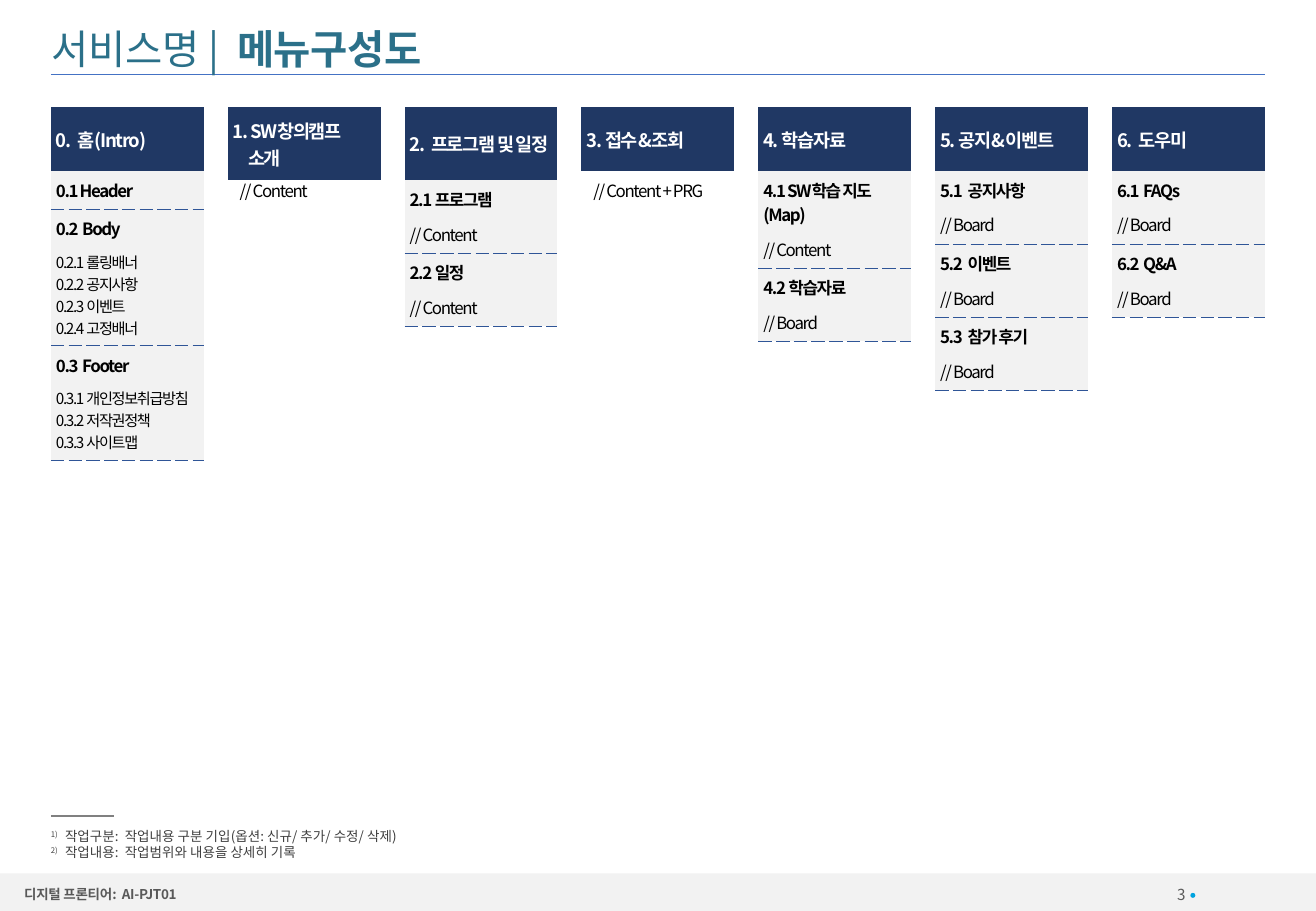
"""Build the menu structure slide of a service plan."""
from dataclasses import dataclass
from typing import NamedTuple

from lxml.etree import SubElement
from pptx import Presentation
from pptx.dml.color import RGBColor as Rgb
from pptx.enum.shapes import MSO_CONNECTOR as Connector, MSO_SHAPE as Shape
from pptx.enum.text import MSO_ANCHOR as Anchor, PP_ALIGN as Align
from pptx.oxml import parse_xml
from pptx.oxml.ns import nsdecls, qn
from pptx.util import Pt


@dataclass(frozen=True)
class Theme:
    """Colours, font and type sizes of the slide."""
    font: str = "Noto Sans CJK KR"
    title: str = "2B7089"
    rule: str = "4472C4"
    head: str = "203864"
    head_text: str = "FFFFFF"
    panel: str = "F2F2F2"
    dash: str = "2F5597"
    ink: str = "000000"
    note: str = "404040"
    note_rule: str = "808080"
    footer: str = "595959"
    dot: str = "00A3DF"
    title_size: float = 24
    head_size: float = 11
    topic_size: float = 10
    detail_size: float = 9
    small_size: float = 8


class Box(NamedTuple):
    """Left, top, width and height in points."""
    left: float
    top: float
    width: float
    height: float

    def lengths(self):
        """Return the four sides as lengths."""
        return [Pt(side) for side in self]


THEME = Theme()
TIGHT = -0.8
HEAD_HEIGHT, TALL_HEAD_HEIGHT = 37.8, 43.3
TOPIC_HEIGHT, TOPIC_LINE, REMARK_HEIGHT, DETAIL_HEIGHT = 22.8, 14.4, 20.6, 13
COLUMN_GAP = 14.2
LINE_LENGTH = 12

MENU = [
    ("0.  홈(Intro)", [
        ("0.1 Header", []),
        ("0.2  Body", ["0.2.1 롤링배너", "0.2.2 공지사항", "0.2.3 이벤트", "0.2.4 고정배너"]),
        ("0.3  Footer", ["0.3.1 개인정보취급방침", "0.3.2 저작권정책", "0.3.3 사이트맵"]),
    ]),
    ("1. SW창의캠프\v소개", "// Content"),
    ("2.  프로그램 및 일정", [
        ("2.1 프로그램", "// Content"), ("2.2 일정", "// Content")]),
    ("3. 접수&조회", "// Content + PRG"),
    ("4. 학습자료", [
        ("4.1 SW학습 지도(Map)", "// Content"), ("4.2 학습자료", "// Board")]),
    ("5. 공지&이벤트", [
        ("5.1  공지사항", "// Board"), ("5.2  이벤트", "// Board"),
        ("5.3  참가 후기", "// Board")]),
    ("6.  도우미", [("6.1  FAQs", "// Board"), ("6.2  Q&A", "// Board")]),
]
NOTES = [
    ("1)", "작업구분:  작업내용 구분 기입(옵션: 신규/ 추가/ 수정/ 삭제)"),
    ("2)", "작업내용:  작업범위와 내용을 상세히 기록"),
]


def style(para, size, color, bold=None, spacing=0, before=0, after=0):
    """Set the type and the gaps of one paragraph."""
    para.space_before, para.space_after = Pt(before), Pt(after)
    font = para.font
    font.name, font.size, font.bold = THEME.font, Pt(size), bold
    font.color.rgb = Rgb.from_string(color)
    defaults = para._p.get_or_add_pPr().get_or_add_defRPr()
    defaults.set("spc", str(round(spacing * 100)))
    SubElement(defaults, qn("a:ea")).set("typeface", THEME.font)


def hang(para, indent):
    """Indent every line but the first."""
    layout = para._p.get_or_add_pPr()
    layout.set("marL", str(Pt(indent)))
    layout.set("indent", str(-Pt(indent)))


def add_text(page, box, margins=(0, 0), anchor=Anchor.TOP, wrap=True):
    """Add a text box and return its frame."""
    frame = page.shapes.add_textbox(*box.lengths()).text_frame
    frame.word_wrap, frame.vertical_anchor = wrap, anchor
    frame.margin_left = frame.margin_right = Pt(margins[0])
    frame.margin_top = frame.margin_bottom = Pt(margins[1])
    return frame


def add_rule(page, left, top, width, color, weight):
    """Draw a horizontal line."""
    line = page.shapes.add_connector(
        Connector.STRAIGHT, Pt(left), Pt(top), Pt(left + width), Pt(top))
    line.line.color.rgb, line.line.width = Rgb.from_string(color), Pt(weight)
    SubElement(line._element.spPr, qn("a:effectLst"))


def add_solid(page, kind, box, color):
    """Draw a plain filled shape."""
    shape = page.shapes.add_shape(kind, *box.lengths())
    shape.shadow.inherit = False
    shape.fill.solid()
    shape.fill.fore_color.rgb = Rgb.from_string(color)
    shape.line.fill.background()


def fill_cell(cell, color, margin, dashed):
    """Set the fill, margins and lower border of a cell."""
    cell.fill.solid()
    cell.fill.fore_color.rgb = Rgb.from_string(color)
    cell.margin_left = cell.margin_right = Pt(3)
    cell.margin_top = cell.margin_bottom = Pt(margin)
    if dashed:
        cell._tc.tcPr.insert(0, parse_xml(
            f'<a:lnB {nsdecls("a")} w="{Pt(0.25)}"><a:solidFill><a:srgbClr val="{THEME.dash}"/>'
            '</a:solidFill><a:prstDash val="dash"/></a:lnB>'))


def is_tall(text):
    """Tell whether a text takes two lines in its column."""
    return "\v" in text or len(text) > LINE_LENGTH


def topic_height(topic, details):
    """Return the height of a topic with its remark or its list."""
    height = TOPIC_HEIGHT + (TOPIC_LINE if is_tall(topic) else 0)
    if isinstance(details, str):
        return height + REMARK_HEIGHT
    return height + (6 + DETAIL_HEIGHT * len(details) if details else 0)


def draw_topic(cell, topic, details):
    """Write a topic and what lies below it."""
    fill_cell(cell, THEME.panel, 4.3, True)
    frame = cell.text_frame
    frame.text = topic
    style(frame.paragraphs[0], THEME.topic_size, THEME.ink, True, TIGHT, 3, 3)
    remark = isinstance(details, str)
    for index, text in enumerate([details] if remark else details):
        para = frame.add_paragraph()
        para.text = text
        if remark:
            style(para, THEME.topic_size, THEME.ink, False, TIGHT, 3, 3)
        else:
            style(para, THEME.detail_size, THEME.ink, False, TIGHT, 0 if index else 3)


def draw_column(page, box, heading, content):
    """Draw one menu with its topics, or with a remark beneath."""
    topics = [] if isinstance(content, str) else content
    heights = [TALL_HEAD_HEIGHT if is_tall(heading) else HEAD_HEIGHT]
    heights += [topic_height(*topic) for topic in topics]
    frame = page.shapes.add_table(
        len(heights), 1, *box._replace(height=sum(heights)).lengths())
    table = frame.table
    table.first_row = table.horz_banding = False
    table._tbl.tblPr.find(qn("a:tableStyleId")).text = "{2D5ABB26-0587-4C30-8999-92F81FD0307C}"
    for row, height in zip(table.rows, heights):
        row.height = Pt(height)
    head = table.cell(0, 0)
    fill_cell(head, THEME.head, 5.8, False)
    head.vertical_anchor = Anchor.MIDDLE
    para = head.text_frame.paragraphs[0]
    para.text = heading
    style(para, THEME.head_size, THEME.head_text, True, TIGHT, 3, 3)
    if "\v" in heading:
        hang(para, 9)
    for index, (topic, details) in enumerate(topics, 1):
        draw_topic(table.cell(index, 0), topic, details)
    if not topics:
        remark = add_text(page, Box(box.left, box.top + 40.3, box.width, 19.4), (7.2, 3.6))
        remark.text = content
        style(remark.paragraphs[0], THEME.topic_size, THEME.ink, False, TIGHT, 3, 3)


def draw_menu(page, box):
    """Spread the menu columns over the box."""
    width = (box.width - COLUMN_GAP * (len(MENU) - 1)) / len(MENU)
    for index, (heading, content) in enumerate(MENU):
        left = box.left + index * (width + COLUMN_GAP)
        draw_column(page, Box(left, box.top, width, box.height), heading, content)


def draw_title(page, box):
    """Write the title above its rule."""
    add_rule(page, box.left, box.top + box.height, box.width, THEME.rule, 0.5)
    frame = add_text(page, box._replace(left=box.left + 0.6), anchor=Anchor.MIDDLE, wrap=False)
    para = frame.paragraphs[0]
    style(para, THEME.title_size, THEME.title, spacing=-0.2)
    para.add_run().text = "서비스명 |  "
    name = para.add_run()
    name.text, name.font.bold = "메뉴구성도", True


def draw_notes(page, box):
    """Write the numbered notes below a short rule."""
    add_rule(page, box.left, box.top, 37.4, THEME.note_rule, 1)
    frame = add_text(page, Box(box.left, box.top + 7.2, box.width, box.height - 7.2))
    for index, (number, text) in enumerate(NOTES):
        para = frame.add_paragraph() if index else frame.paragraphs[0]
        style(para, THEME.small_size, THEME.note)
        para.alignment = Align.JUSTIFY
        hang(para, 8.4)
        mark = para.add_run()
        mark.text = number
        mark.font._element.set("baseline", "30000")
        para.add_run().text = "\t" + text


def draw_footer(page, box):
    """Draw the footer band with project name and page number."""
    add_solid(page, Shape.RECTANGLE, box, THEME.panel)
    add_solid(page, Shape.OVAL, Box(box.left + 705.6, box.top + 11.6, 2.9, 2.9), THEME.dot)
    number = add_text(page, Box(box.left + 652.3, box.top + 5.3, 50.4, 14.4), anchor=Anchor.MIDDLE)
    number.text = "3"
    style(number.paragraphs[0], THEME.detail_size, THEME.footer)
    number.paragraphs[0].alignment = Align.RIGHT
    project = add_text(page, Box(box.left + 14.4, box.top + 7.4, 319.7, 9.4))
    project.text = "디지털 프론티어:  AI-PJT01"
    style(project.paragraphs[0], THEME.small_size, THEME.footer, True, -0.2)


def main():
    """Build and save the deck."""
    deck = Presentation()
    deck.slide_width, deck.slide_height = Pt(780), Pt(540)
    page = deck.slides.add_slide(deck.slide_layouts[6])
    draw_footer(page, Box(0, 517.7, 780, 22.3))
    draw_notes(page, Box(30.2, 483.8, 719.5, 30.2))
    draw_title(page, Box(30.2, 12.6, 719.5, 31.5))
    draw_menu(page, Box(30.2, 63.4, 719.5, 400))
    deck.save("out.pptx")


main()
